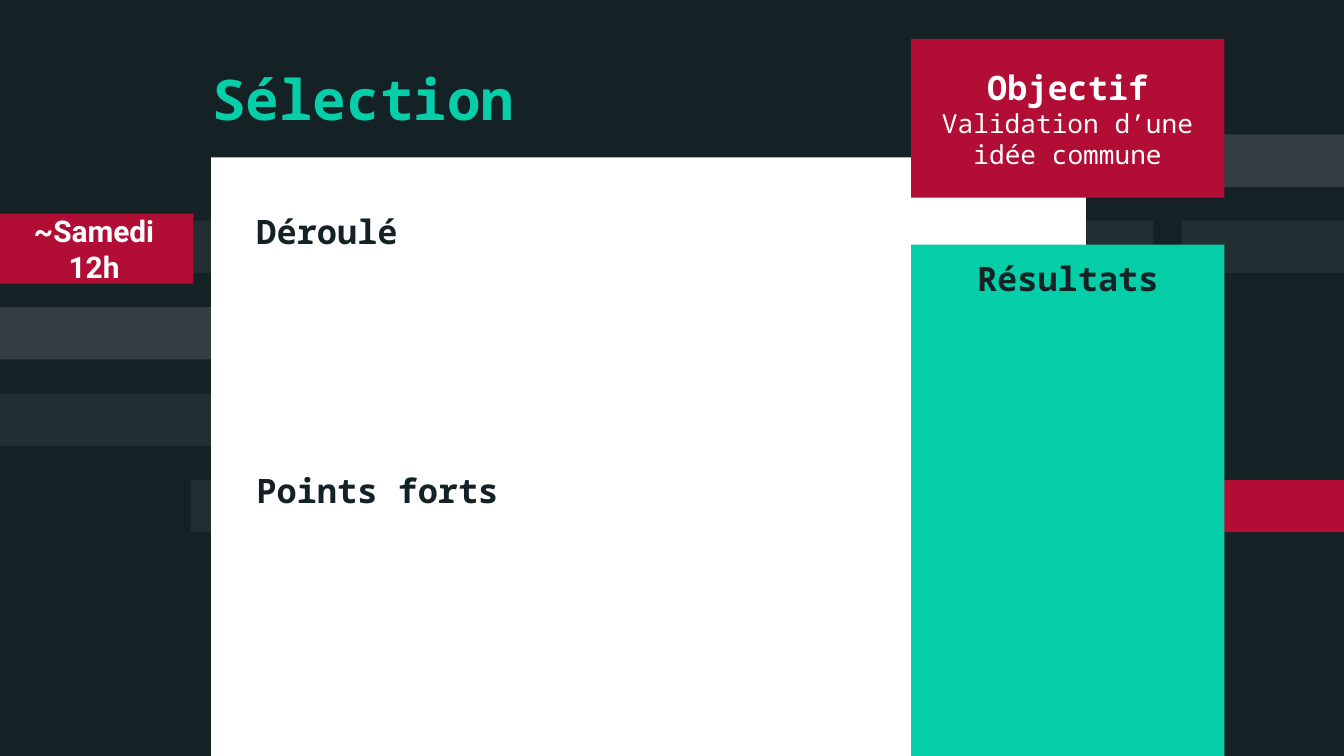
import pptx
import pptx.dml.color
import pptx.enum.shapes
import pptx.enum.text
import pptx.oxml.ns
import pptx.util
from dataclasses import dataclass
from lxml import etree

Inches = pptx.util.Inches
Align = pptx.enum.text.PP_ALIGN
Anchor = pptx.enum.text.MSO_ANCHOR


@dataclass(frozen=True)
class Theme:
    """Colours, fonts and type sizes of the slide."""
    dark: str = "142226"
    white: str = "FFFFFF"
    green: str = "06CEA8"
    red: str = "B20D34"
    mono: str = "Noto Sans Mono"
    sans: str = "Roboto"
    title: int = 30
    head: int = 18
    date: int = 16
    body: int = 14
    faint: int = 6
    soft: int = 13


theme = Theme()


def tint(code):
    """Turn a hex code into a colour."""
    return pptx.dml.color.RGBColor.from_string(code)


def block(slide, box, color, alpha=100):
    """Draw a plain filled rectangle."""
    kind = pptx.enum.shapes.MSO_SHAPE.RECTANGLE
    shape = slide.shapes.add_shape(kind, *map(Inches, box))
    shape.shadow.inherit = False
    shape.line.fill.background()
    shape.fill.solid()
    shape.fill.fore_color.rgb = tint(color)
    if alpha < 100:
        node = shape.fill._xPr.find(".//" + pptx.oxml.ns.qn("a:srgbClr"))
        etree.SubElement(node, pptx.oxml.ns.qn("a:alpha"), val=str(alpha * 1000))
    return shape


def style(para, text, size, color, font=theme.mono, align=Align.LEFT):
    """Fill one bold paragraph."""
    para.alignment = align
    para.add_run().text = text
    para.font.name = font
    para.font.size = pptx.util.Pt(size)
    para.font.bold = True
    para.font.color.rgb = tint(color)


def frame(shape, anchor=Anchor.TOP):
    """Prepare the text frame of a shape and return it."""
    area = shape.text_frame
    area.word_wrap = True
    area.vertical_anchor = anchor
    area.margin_left = area.margin_right = Inches(0.1)
    area.margin_top = area.margin_bottom = Inches(0.1)
    return area


def bands(slide, box):
    """Lay the background bars in evenly spaced rows."""
    left, top, width, height = box
    thick = 0.39
    step = (height - thick) / 4
    bars = [
        (2, 0, 1.93, theme.white, theme.soft),
        (1, 1.34, 1.21, theme.white, theme.faint),
        (3, 0, 2.46, theme.white, theme.faint),
        (4, 1.42, 1.21, theme.white, theme.faint),
        (4, width - 1.14, 1.14, theme.red, 100),
        (1, width - 1.21, 1.21, theme.white, theme.faint),
        (1, 5.99, 2.59, theme.white, theme.faint),
        (0, width - 2.46, 2.46, theme.white, theme.soft),
    ]
    for row, start, span, color, alpha in bars:
        block(slide, (left + start, top + row * step, span, thick), color, alpha)


def panel(slide, box):
    """Draw the white panel with its two headings."""
    left, top, width, height = box
    block(slide, box, theme.white)
    spot = (left + 0.24, top + 0.3, 4.89, 4.08)
    area = frame(slide.shapes.add_textbox(*map(Inches, spot)))
    style(area.paragraphs[0], "Déroulé", theme.head, theme.dark)
    para = area.add_paragraph()
    style(para, "Points forts", theme.head, theme.dark)
    para.space_before = pptx.util.Pt(117)


def title(slide, box):
    """Write the slide title."""
    area = frame(slide.shapes.add_textbox(*map(Inches, box)))
    style(area.paragraphs[0], "Sélection", theme.title, theme.green)


def result(slide, box):
    """Draw the green results column."""
    area = frame(block(slide, box, theme.green))
    style(area.paragraphs[0], "Résultats", theme.head, theme.dark, align=Align.CENTER)


def goal(slide, box):
    """Draw the red card with the goal."""
    para = frame(block(slide, box, theme.red), Anchor.MIDDLE).paragraphs[0]
    style(para, "Objectif", theme.head, theme.white, align=Align.CENTER)
    run = para.add_run()
    run.text = " Validation d’une idée commune"
    run.font.size = pptx.util.Pt(theme.body)
    run.font.bold = False


def date(slide, box):
    """Draw the red date tag."""
    area = frame(block(slide, box, theme.red), Anchor.MIDDLE)
    style(area.paragraphs[0], "~Samedi 12h", theme.date, theme.white,
          theme.sans, Align.CENTER)


def main():
    """Build and save the slide."""
    deck = pptx.Presentation()
    deck.slide_width = Inches(10)
    deck.slide_height = deck.slide_width * 9 // 16
    slide = deck.slides.add_slide(deck.slide_layouts[6])
    slide.background.fill.solid()
    slide.background.fill.fore_color.rgb = tint(theme.dark)
    bands(slide, (0, 1, 10, 2.96))
    panel(slide, (1.57, 1.17, 6.51, 4.52))
    title(slide, (1.48, 0.38, 6.85, 0.73))
    result(slide, (6.78, 1.82, 2.33, 3.91))
    goal(slide, (6.78, 0.29, 2.33, 1.18))
    date(slide, (-0.04, 1.59, 1.48, 0.52))
    deck.save("out.pptx")


if __name__ == "__main__":
    main()
